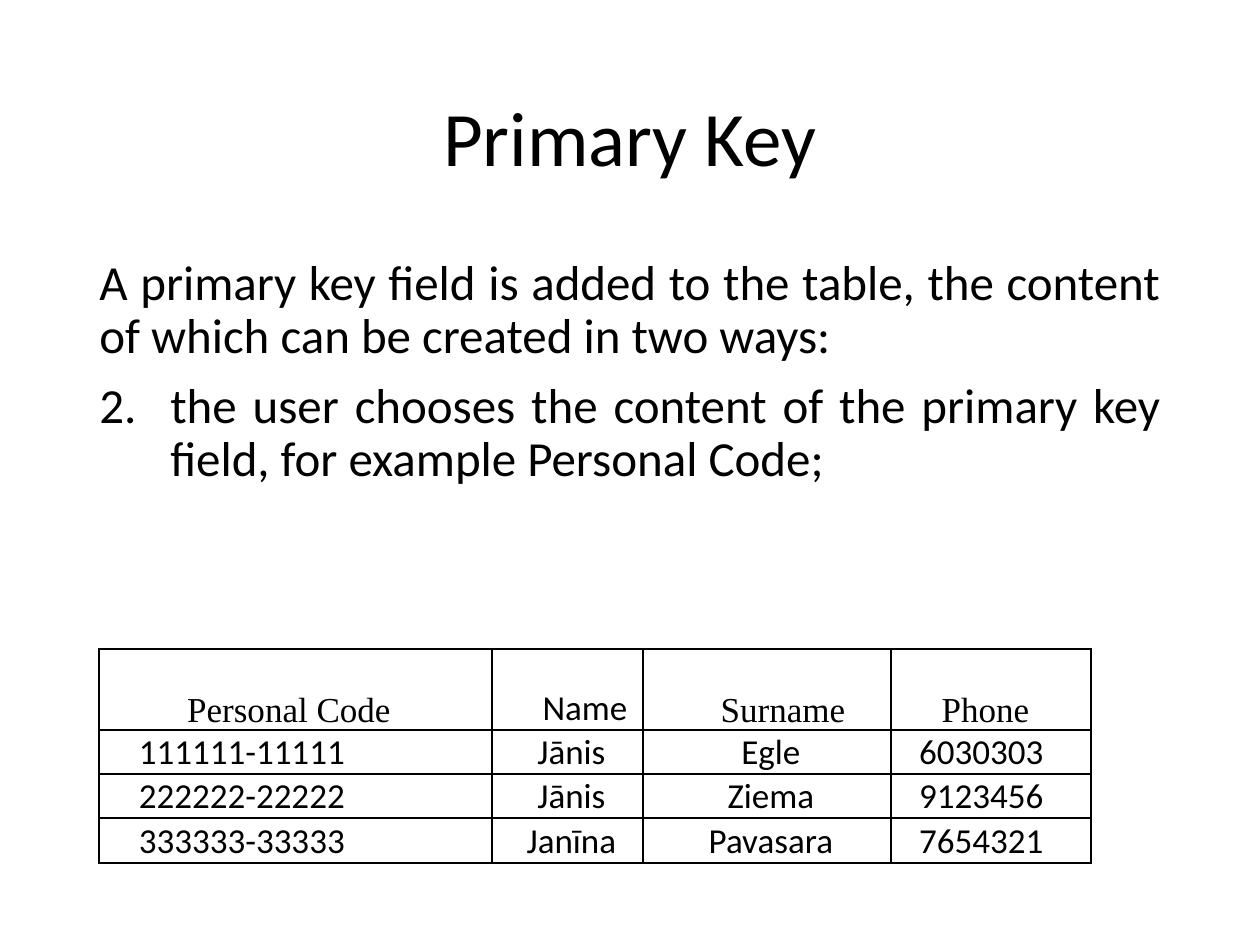
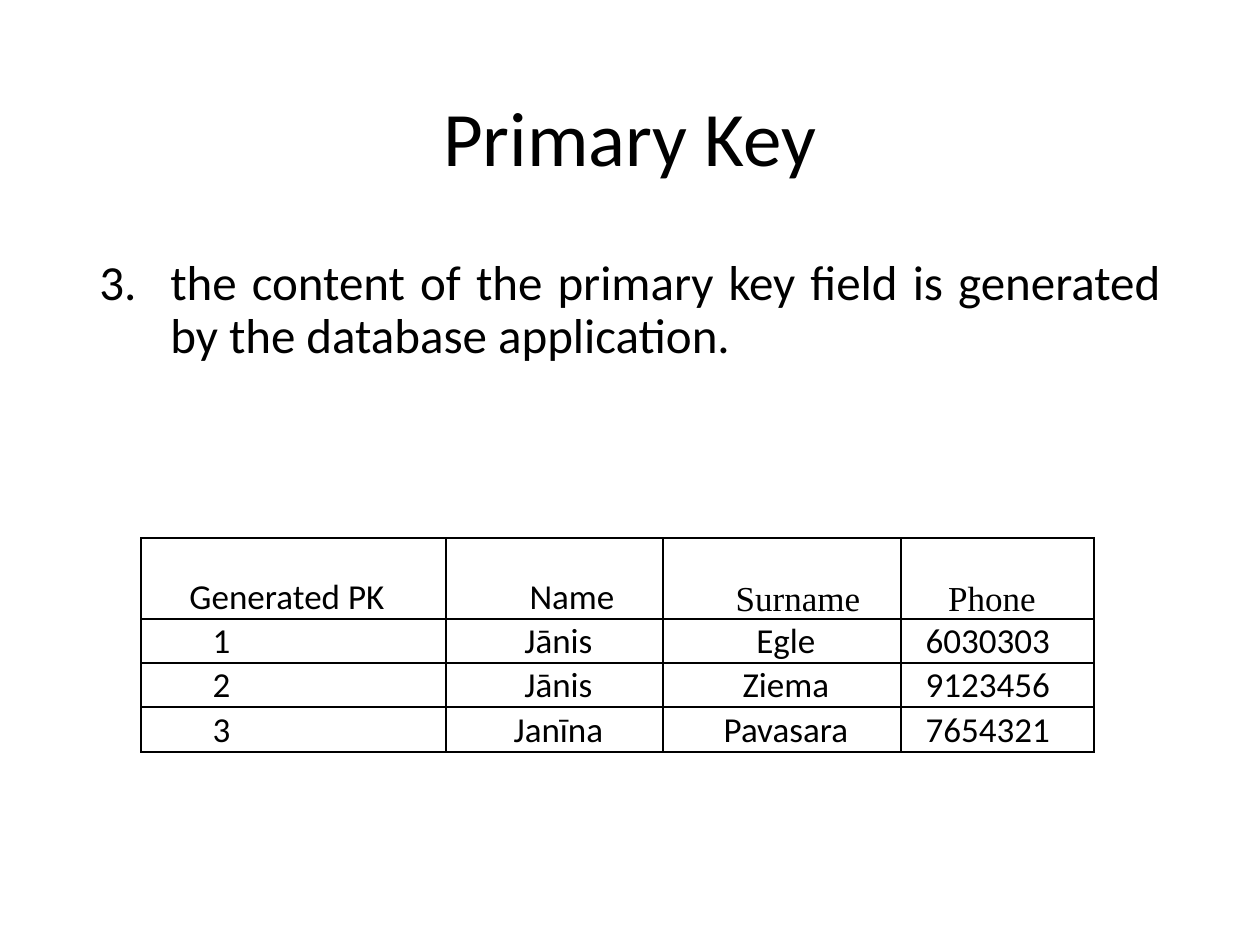
from lxml.etree import SubElement
from pptx import Presentation
from pptx.dml.color import RGBColor
from pptx.enum.text import MSO_ANCHOR as Anchor, PP_ALIGN as Align
from pptx.oxml import parse_xml
from pptx.oxml.ns import nsdecls, qn
from pptx.util import Emu, Pt

BLACK = RGBColor(0x00, 0x00, 0x00)
WHITE = RGBColor(0xFF, 0xFF, 0xFF)
SANS, SERIF = "Calibri", "Times New Roman"

# Boxes are left, top, width, height in px
TITLE_BOX = (87, 50, 1086, 183)
BODY_BOX = (87, 252, 1086, 375)
NUMBER_INDENT = 71
ROW_HEIGHTS = (81, 44, 44, 45)

# Left indent and right margin of each column's text, in px
HEADER_INSETS = ((0, 13), (35, 0), (32, 0), (0, 11))
PERSON_INSETS = ((8, 0), (8, 0), (0, 19))
CODE_INSETS = ((37, 144), *PERSON_INSETS)
COUNTER_INSETS = ((0, 144), *PERSON_INSETS)

PEOPLE = (
    ("Jānis", "Egle", "6030303"),
    ("Jānis", "Ziema", "9123456"),
    ("Janīna", "Pavasara", "7654321"),
)


def px(length):
    return Emu(round(length * 914400 / 126))


def style_paragraph(para, size, align, font=SANS):
    para.alignment = align
    for span in para.runs:
        span.font.name = font
        span.font.size = Pt(size)
        span.font.color.rgb = BLACK


def add_title(page, box):
    title = page.shapes.title
    title.left, title.top, title.width, title.height = map(px, box)
    frame = title.text_frame
    frame.text = "Primary Key"
    frame.vertical_anchor = Anchor.MIDDLE
    para = frame.paragraphs[0]
    para.line_spacing = 0.9
    style_paragraph(para, 44, Align.CENTER)


def number_paragraph(para, start):
    props = para._p.get_or_add_pPr()
    props.set("marL", str(px(NUMBER_INDENT)))
    props.set("indent", str(-px(NUMBER_INDENT)))
    SubElement(props, qn("a:buAutoNum"), type="arabicPeriod", startAt=str(start))


def add_body(page, box, items):
    """Each item is its text and its number, or None for plain text."""
    frame = page.shapes.add_textbox(*map(px, box)).text_frame
    frame.word_wrap = True
    for index, (text, number) in enumerate(items):
        para = frame.add_paragraph() if index else frame.paragraphs[0]
        para.text = text
        para.line_spacing = 0.9
        if index:
            para.space_before = Pt(10)
        if number:
            number_paragraph(para, number)
        style_paragraph(para, 28, Align.JUSTIFY)


def add_borders(cell):
    props = cell._tc.get_or_add_tcPr()
    for index, side in enumerate(("lnL", "lnR", "lnT", "lnB")):
        props.insert(index, parse_xml(
            f'<a:{side} {nsdecls("a")} w="{Pt(1)}"><a:solidFill>'
            f'<a:srgbClr val="{BLACK}"/></a:solidFill></a:{side}>'))


def fill_cell(cell, text, font, insets, line_spacing):
    indent, margin = insets
    cell.margin_left = cell.margin_top = cell.margin_bottom = 0
    cell.margin_right = px(margin)
    cell.vertical_anchor = Anchor.BOTTOM
    cell.fill.background()
    add_borders(cell)
    cell.text = text
    para = cell.text_frame.paragraphs[0]
    if indent:
        para._p.get_or_add_pPr().set("marL", str(px(indent)))
    para.line_spacing = line_spacing
    style_paragraph(para, 20, Align.CENTER, font)


def add_people_table(page, corner, widths, header, keys, key_insets):
    """The header is a row of (text, font) pairs; keys fill the first column."""
    size = (sum(widths), sum(ROW_HEIGHTS))
    table = page.shapes.add_table(
        len(ROW_HEIGHTS), len(widths), *map(px, corner + size)).table
    table.first_row = table.horz_banding = False
    for column, width in zip(table.columns, widths):
        column.width = px(width)
    for row, height in zip(table.rows, ROW_HEIGHTS):
        row.height = px(height)

    for column, (text, font) in enumerate(header):
        fill_cell(table.cell(0, column), text, font, HEADER_INSETS[column], 1.0)
    for row, (key, person) in enumerate(zip(keys, PEOPLE), start=1):
        for column, text in enumerate((key, *person)):
            fill_cell(table.cell(row, column), text, SANS, key_insets[column], Pt(13.2))


def add_page(deck, items, **table):
    page = deck.slides.add_slide(deck.slide_layouts[5])
    page.background.fill.solid()
    page.background.fill.fore_color.rgb = WHITE
    add_title(page, TITLE_BOX)
    add_body(page, BODY_BOX, items)
    add_people_table(page, **table)


def main():
    deck = Presentation()
    deck.slide_width, deck.slide_height = px(1260), px(945)
    person_header = (("Name", SANS), ("Surname", SERIF), ("Phone", SERIF))

    # Key chosen by the user
    add_page(
        deck,
        [("A primary key field is added to the table, the content of which "
          "can be created in two ways:", None),
         ("the user chooses the content of the primary key field, for example "
          "Personal Code;", 2)],
        corner=(99, 649), widths=(393, 151, 248, 200),
        header=(("Personal Code", SERIF), *person_header),
        keys=("111111-11111", "222222-22222", "333333-33333"),
        key_insets=CODE_INSETS)

    # Key generated by the application
    add_page(
        deck,
        [("the content of the primary key field is generated by the database "
          "application.", 3)],
        corner=(141, 538), widths=(305, 217, 238, 193),
        header=(("Generated PK", SANS), *person_header),
        keys=("1", "2", "3"),
        key_insets=COUNTER_INSETS)

    deck.save("out.pptx")


if __name__ == "__main__":
    main()
